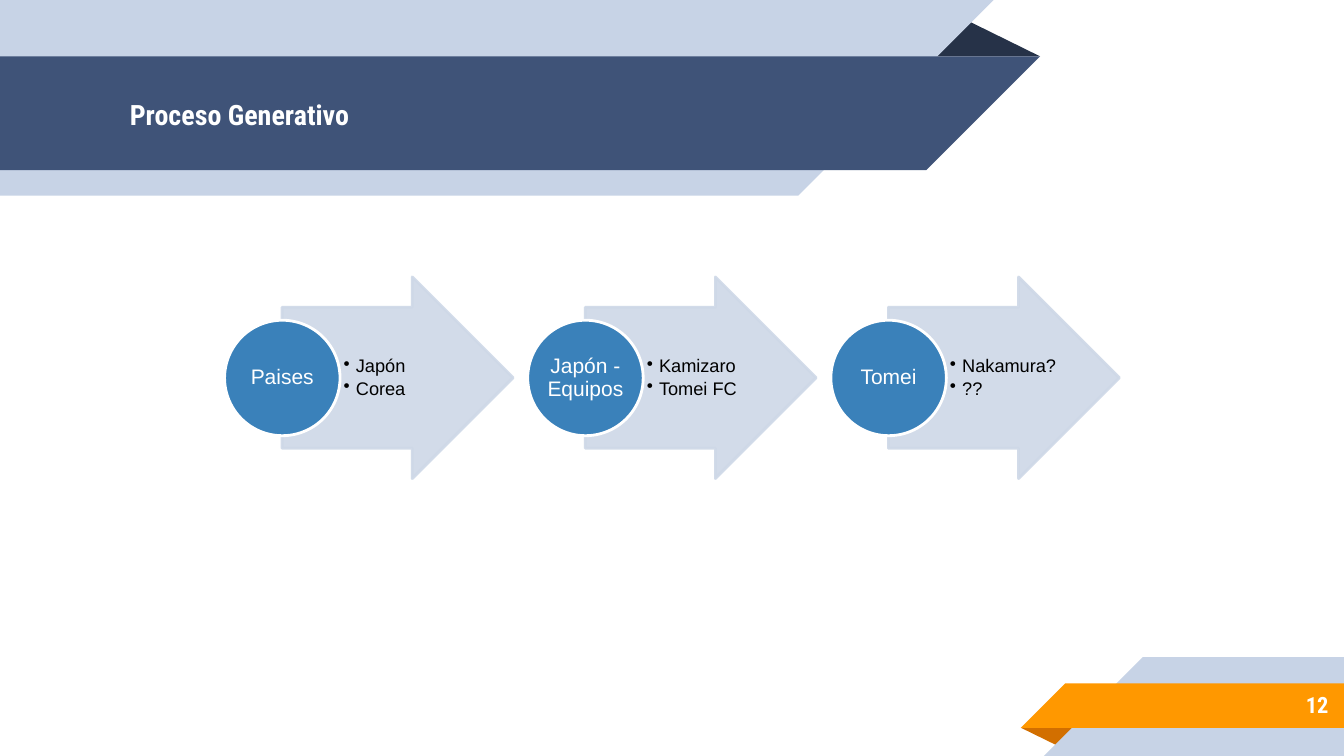
"""Build the slide "Proceso Generativo" with its three-step arrow process."""
from dataclasses import dataclass

from lxml.etree import SubElement
from pptx import Presentation
from pptx.dml.color import RGBColor
from pptx.enum.shapes import MSO_SHAPE as Preset
from pptx.enum.text import MSO_ANCHOR as Anchor, MSO_AUTO_SIZE as AutoSize, PP_ALIGN as Align
from pptx.oxml.ns import qn
from pptx.util import Cm, Pt


@dataclass(frozen=True)
class Theme:
    navy: str = "3F5378"
    navy_fold: str = "263248"
    pale: str = "C7D3E6"
    orange: str = "FF9800"
    orange_fold: str = "D26F00"
    arrow: str = "CED8E7"
    circle: str = "3A81BA"
    white: str = "FFFFFF"
    black: str = "000000"
    heading_font: str = "Roboto Condensed"
    body_font: str = "Arial"
    title_size: int = 20
    number_size: int = 16
    label_size: int = 15
    list_size: int = 13


theme = Theme()


def paint(shape, fill, line=None, opacity=100):
    shape.shadow.inherit = False
    shape.fill.solid()
    shape.fill.fore_color.rgb = RGBColor.from_string(fill)
    if line is None:
        shape.line.fill.background()
        return
    shape.line.width = Pt(2)
    shape.line.color.rgb = RGBColor.from_string(line)
    if opacity < 100:
        for color in shape.element.spPr.iter(qn("a:srgbClr")):
            SubElement(color, qn("a:alpha"), val=str(opacity * 1000))


def write(box, lines, font, size, color, align=Align.LEFT, bold=False, inset=0.25, spacing=1.0, bullet=False):
    frame = box.text_frame
    frame.word_wrap = True
    frame.auto_size = AutoSize.NONE
    frame.vertical_anchor = Anchor.MIDDLE
    frame.margin_left = frame.margin_right = Cm(inset)
    frame.margin_top = frame.margin_bottom = Cm(inset)
    for index, line in enumerate(lines):
        para = frame.add_paragraph() if index else frame.paragraphs[0]
        if bullet:
            props = para._p.get_or_add_pPr()
            props.set("marL", str(Cm(0.31)))
            props.set("indent", str(Cm(-0.31)))
            SubElement(props, qn("a:buChar"), char="•")
            para.space_after = Pt(2)
        para.font.size = Pt(size)
        para.alignment = align
        para.line_spacing = spacing
        span = para.add_run()
        span.text = line
        span.font.name = font
        span.font.size = Pt(size)
        span.font.bold = bold
        span.font.color.rgb = RGBColor.from_string(color)


deck = Presentation()
deck.slide_width, deck.slide_height = Cm(33.87), Cm(19.05)
page = deck.slides.add_slide(deck.slide_layouts[5])
shapes = page.shapes

ribbons = [
    (theme.navy_fold, [(23.32, 1.42), (26.21, 1.42), (24.26, 0.46)]),
    (theme.pale, [(0, 0), (25.04, 0), (20.12, 4.93), (0, 4.93)]),
    (theme.navy, [(0, 1.42), (26.21, 1.42), (23.34, 4.29), (0, 4.29)]),
    (theme.orange_fold, [(25.73, 18.34), (27.18, 18.34), (26.71, 18.82)]),
    (theme.pale, [(28.8, 16.56), (33.87, 16.56), (33.87, 19.05), (26.31, 19.05)]),
    (theme.orange, [(26.85, 17.22), (33.87, 17.22), (33.87, 18.34), (25.73, 18.34)]),
]
for color, corners in ribbons:
    start, *others = [(Cm(x), Cm(y)) for x, y in corners]
    outline = shapes.build_freeform(*start)
    outline.add_line_segments(others)
    paint(outline.convert_to_shape(), color)

title = shapes.title
title.left, title.top, title.width, title.height = Cm(3.02), Cm(1.45), Cm(20.35), Cm(2.84)
write(title, ["Proceso Generativo"], theme.heading_font, theme.title_size, theme.white, bold=True)
shapes.element.append(title.element)

number = shapes.add_textbox(Cm(28.22), Cm(17.17), Cm(5.51), Cm(1.17))
write(number, ["12"], theme.heading_font, theme.number_size, theme.white, Align.RIGHT, bold=True)

steps = [
    ("Paises", ["Japón", "Corea"]),
    ("Japón - Equipos", ["Kamizaro", "Tomei FC"]),
    ("Tomei", ["Nakamura?", "??"]),
]
step_pitch = 7.64
for index, (label, examples) in enumerate(steps):
    left = 5.66 + index * step_pitch
    arrow = shapes.add_shape(Preset.RIGHT_ARROW, Cm(left + 1.45), Cm(6.98), Cm(5.82), Cm(5.08))
    arrow.adjustments[0], arrow.adjustments[1] = 0.7, 0.5
    paint(arrow, theme.arrow, theme.arrow, opacity=90)

    listing = shapes.add_textbox(Cm(left + 2.9), Cm(7.75), Cm(2.84), Cm(3.56))
    write(listing, examples, theme.body_font, theme.list_size, theme.black,
          inset=0.05, spacing=0.9, bullet=True)
    listing.text_frame.margin_left = Cm(0.1)

    circle = shapes.add_shape(Preset.OVAL, Cm(left), Cm(8.07), Cm(2.91), Cm(2.91))
    paint(circle, theme.circle, theme.white)
    write(circle, [label], theme.body_font, theme.label_size, theme.white, Align.CENTER,
          inset=0.02, spacing=0.9)

deck.save("out.pptx")
